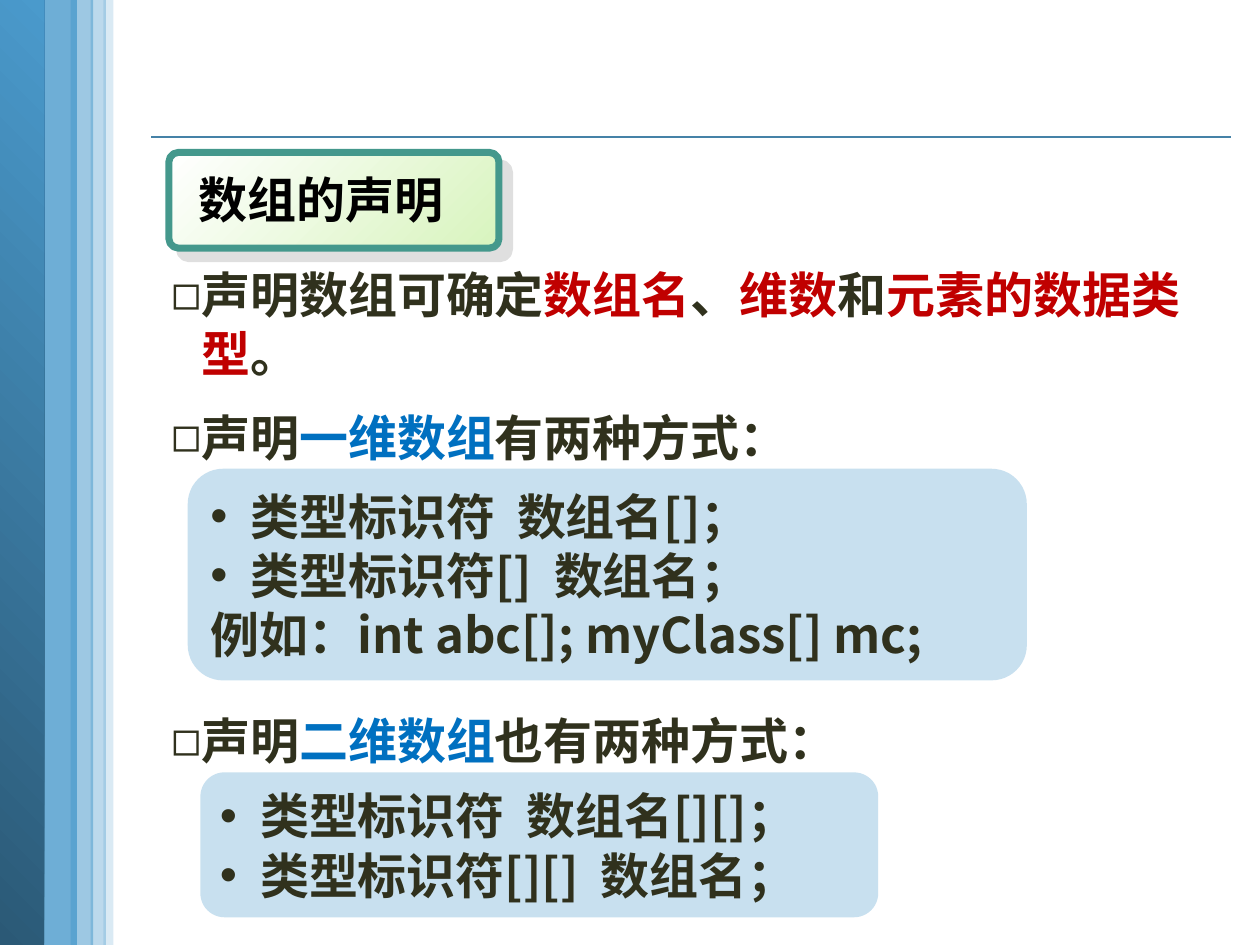
from lxml import etree
from pptx import Presentation
from pptx.dml.color import RGBColor
from pptx.enum.shapes import MSO_CONNECTOR, MSO_SHAPE
from pptx.enum.text import MSO_ANCHOR, PP_ALIGN
from pptx.oxml.ns import qn
from pptx.util import Inches, Pt

RECT, ROUND = MSO_SHAPE.RECTANGLE, MSO_SHAPE.ROUNDED_RECTANGLE
STRAIGHT = MSO_CONNECTOR.STRAIGHT
MIDDLE, LEFT = MSO_ANCHOR.MIDDLE, PP_ALIGN.LEFT

BLUE = RGBColor(0x4A, 0x9A, 0xCC)
NAVY = RGBColor(0x2B, 0x59, 0x76)
RULE = RGBColor(0x45, 0x82, 0xA7)
INK = RGBColor(0x30, 0x31, 0x1D)
RED = RGBColor(0xC0, 0x00, 0x00)
ACCENT = RGBColor(0x00, 0x70, 0xC0)
BLACK = RGBColor(0, 0, 0)
WHITE = RGBColor(255, 255, 255)
LIME = RGBColor(0xD8, 0xF4, 0xBE)
TEAL = RGBColor(0x44, 0x98, 0x8C)

LATIN, CJK = "Arial", "Noto Sans CJK SC"
SIZE, LINE = Pt(28), Pt(33.8)
WIDTH, HEIGHT = 10, 7.5
BODY_LEFT, BODY_WIDTH = 1.26, 8.28
ROW = 0.57


def sub(parent, tag, **attrs):
    return etree.SubElement(parent, qn(tag), attrs)


def add_box(s, kind, x, y, w, h):
    sp = s.shapes.add_shape(kind, Inches(x), Inches(y), Inches(w), Inches(h))
    sp.shadow.inherit = False
    sp.line.fill.background()
    return sp


def fill_solid(sp, color, alpha):
    sp.fill.solid()
    sp.fill.fore_color.rgb = color
    clr = sp._element.spPr.find(qn("a:solidFill"))[0]
    sub(clr, "a:alpha", val=str(alpha * 1000))


def fill_gradient(sp, start, end, angle):
    sp.fill.gradient()
    sp.fill.gradient_angle = angle
    for stop, color in zip(sp.fill.gradient_stops, (start, end)):
        stop.color.rgb = color


def drop_shadow(sp):
    effects = sp._element.spPr.find(qn("a:effectLst"))
    shadow = sub(effects, "a:outerShdw", dist=str(Pt(8.5)), dir="2700000",
                 algn="ctr", rotWithShape="0")
    clr = sub(shadow, "a:srgbClr", val="C0C0C0")
    sub(clr, "a:alpha", val="50000")


def write_paragraph(p, parts, font, bullet=None, indent=0, gap=0):
    p.alignment = LEFT
    p.line_spacing = LINE
    pPr = p._p.get_or_add_pPr()
    if bullet:
        pPr.set("marL", str(Inches(indent)))
        pPr.set("indent", str(-Inches(indent)))
        sub(pPr, "a:buFont", typeface=LATIN)
        sub(pPr, "a:buChar", char=bullet)
    for text, color in parts:
        r = p.add_run()
        r.text = text
        r.font.name, r.font.size, r.font.bold = font, SIZE, True
        r.font.color.rgb = color
        rPr = r._r.get_or_add_rPr()
        sub(rPr, "a:ea", typeface=CJK)
        if text == " ":
            rPr.set("spc", str(gap))


def add_line_of_text(s, x, y, w, rows, parts, bullet=None):
    tf = s.shapes.add_textbox(Inches(x), Inches(y), Inches(w),
                              Inches(rows)).text_frame
    tf.word_wrap = True
    write_paragraph(tf.paragraphs[0], parts, LATIN, bullet, 0.24)


def add_syntax_box(s, x, y, w, h, forms, example=None):
    sp = add_box(s, ROUND, x, y, w, h)
    fill_solid(sp, BLUE, 30)
    tf = sp.text_frame
    tf.word_wrap = True
    tf.vertical_anchor = MIDDLE
    for i, (kind, name) in enumerate(forms):
        p = tf.add_paragraph() if i else tf.paragraphs[0]
        parts = [(kind, INK), (" ", INK), (name, INK)]
        write_paragraph(p, parts, CJK, "•", 0.32, 600)
    if example:
        write_paragraph(tf.add_paragraph(), [(example, INK)], CJK)


def add_frame(s):
    for x, w, alpha in ((0.3, 0.31, 80), (0.82, 0.08, 20),
                        (0.56, 0.18, 54), (0.72, 0.12, 37)):
        fill_solid(add_box(s, RECT, x, 0, w, HEIGHT), BLUE, alpha)
    fill_gradient(add_box(s, RECT, 0, 0, 0.35, HEIGHT), NAVY, BLUE, 45)
    rule = s.shapes.add_connector(STRAIGHT, Inches(1.2), Inches(1.09),
                                  Inches(9.77), Inches(1.09))
    rule.line.color.rgb = RULE
    rule.line.width = Pt(1)
    sub(rule._element.spPr, "a:effectLst")


def add_heading(s, text):
    sp = add_box(s, ROUND, 1.34, 1.21, 2.62, 0.76)
    sp.adjustments[0] = 0.1
    fill_gradient(sp, WHITE, LIME, 315)
    sp.line.color.rgb = TEAL
    sp.line.width = Pt(4)
    drop_shadow(sp)
    add_line_of_text(s, 1.48, 1.29, 5.73, ROW, [(text, BLACK)])


def add_point(s, y, rows, parts):
    add_line_of_text(s, BODY_LEFT, y, BODY_WIDTH, rows, parts, "◻")


def main():
    prs = Presentation()
    prs.slide_width, prs.slide_height = Inches(WIDTH), Inches(HEIGHT)
    s = prs.slides.add_slide(prs.slide_layouts[6])
    add_frame(s)
    add_heading(s, "数组的声明")
    add_point(s, 2.05, 1.04, [
        ("声明数组可确定", INK), ("数组名", RED), ("、", INK), ("维数", RED),
        ("和", INK), ("元素的数据类型", RED), ("。", INK)])
    add_point(s, 3.18, ROW, [
        ("声明", INK), ("一维数组", ACCENT), ("有两种方式：", INK)])
    add_syntax_box(s, 1.49, 3.72, 6.66, 1.68, [
        ("类型标识符", "数组名[]；"), ("类型标识符[]", "数组名；")],
        "例如：int abc[]; myClass[] mc;")
    add_point(s, 5.59, ROW, [
        ("声明", INK), ("二维数组", ACCENT), ("也有两种方式：", INK)])
    add_syntax_box(s, 1.59, 6.13, 5.38, 1.15, [
        ("类型标识符", "数组名[][]；"), ("类型标识符[][]", "数组名；")])
    prs.save("out.pptx")


if __name__ == "__main__":
    main()
